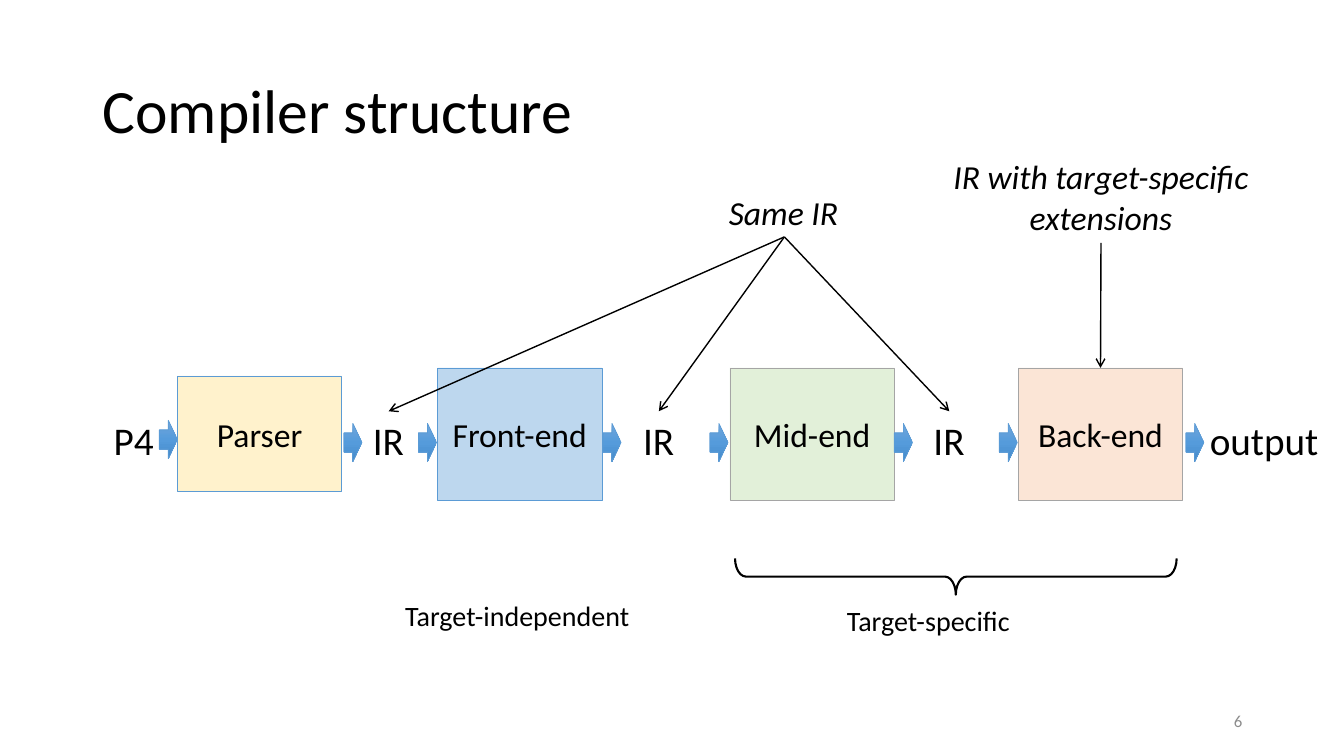
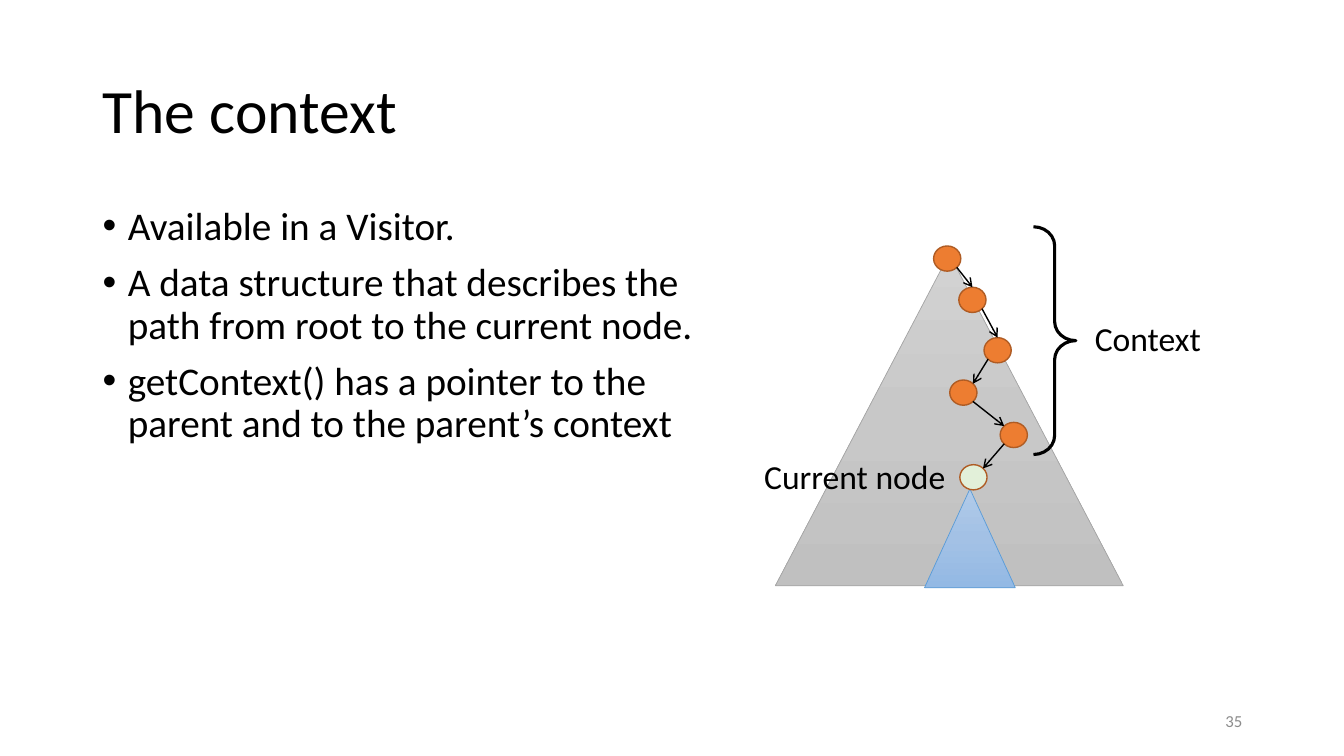
"""Build two slides on compiler structure and visitor context."""
import itertools
from typing import NamedTuple

import lxml.etree
import pptx
import pptx.dml.color
import pptx.enum.dml
import pptx.enum.shapes
import pptx.enum.text
import pptx.oxml.ns
import pptx.slide
import pptx.shapes.autoshape
import pptx.util

Inches = pptx.util.Inches
SHAPE = pptx.enum.shapes.MSO_SHAPE
ALIGN = pptx.enum.text.PP_ALIGN
ANCHOR = pptx.enum.text.MSO_ANCHOR
qn = pptx.oxml.ns.qn

FONT = "Calibri"
BLACK, GREY, PAGE_GREY = "000000", "A5A5A5", "8C8C8C"
BLUE, GREEN, ORANGE, BROWN = "5B9BD5", "E2F0D9", "ED7D31", "AF5C24"
ARROW_BLUES = ("71A6DB", "559BDB", "448ACA")
TREE_GREYS = ("D2D2D2", "C8C8C8", "C0C0C0")
SUBTREE_BLUES = ("B1CBE9", "A3C1E5", "93B9E4")


class Box(NamedTuple):
    left: float
    top: float
    width: float
    height: float

    def at(self, fx: float, fy: float) -> tuple[float, float]:
        return self.left + fx * self.width, self.top + fy * self.height


class Stage(NamedTuple):
    name: str
    box: Box
    fill: str
    line: str


class Label(NamedTuple):
    text: str
    box: Box
    size: int
    italic: bool = False


class Step(NamedTuple):
    left: float
    top: float
    exit: tuple[float, float]
    entry: tuple[float, float]


TOP = (0.5, 0)
TOP_LEFT, TOP_RIGHT = (0.15, 0.15), (0.85, 0.15)
BOTTOM_LEFT, BOTTOM_RIGHT = (0.15, 0.85), (0.85, 0.85)

STAGES = [
    Stage("Parser", Box(1.76, 3.73, 1.63, 1.15), "FFF2CC", BLUE),
    Stage("Front-end", Box(4.34, 3.65, 1.63, 1.31), "BDD7EE", BLUE),
    Stage("Mid-end", Box(7.24, 3.65, 1.63, 1.31), GREEN, GREY),
    Stage("Back-end", Box(10.1, 3.65, 1.63, 1.31), "FBE5D6", GREY),
]
IR_BOXES = [Box(left, 4.08, 0.51, 0.57) for left in (3.6, 6.28, 9.16)]
FLOW_ARROWS = [(1.58, 4.17)] + [
    (left, 4.2) for left in (3.41, 4.15, 5.98, 7.04, 8.87, 9.91, 11.76)]
SAME_IR = Box(7.13, 1.85, 1.3, 0.5)
EXTENDED_IR = Box(9.34, 1.5, 3.16, 0.91)
COMPILER_LABELS = [
    Label("P4", Box(1.03, 4.08, 0.6, 0.57), 28),
    Label("output", Box(11.9, 4.08, 1.29, 0.57), 28),
    Label("Target-specific", Box(8.3, 5.94, 1.85, 0.44), 20),
    Label("Target-independent", Box(3.92, 5.89, 2.46, 0.44), 20),
    Label("Same IR", SAME_IR, 24, True),
    Label("IR with target-specific\nextensions", EXTENDED_IR, 24, True),
    *(Label("IR", box, 28) for box in IR_BOXES),
]

CONTEXT_BULLETS = """Available in a Visitor.
A data structure that describes the path from root to the current node.
getContext() has a pointer to the parent and to the parent’s context"""
TREE_PATH = [
    Step(9.26, 2.44, BOTTOM_RIGHT, TOP),
    Step(9.51, 2.85, BOTTOM_RIGHT, TOP),
    Step(9.76, 3.35, BOTTOM_LEFT, TOP),
    Step(9.42, 3.77, BOTTOM_RIGHT, TOP_RIGHT),
    Step(9.92, 4.19, BOTTOM_LEFT, TOP_LEFT),
    Step(9.52, 4.61, BOTTOM_LEFT, TOP_RIGHT),
]
CONTEXT_LABELS = [
    Label("Current node", Box(7.48, 4.47, 2.02, 0.5), 24),
    Label("Context", Box(10.76, 3.1, 1.26, 0.5), 24),
]


def rgb(color: str) -> pptx.dml.color.RGBColor:
    return pptx.dml.color.RGBColor.from_string(color)


def inches(*values: float) -> list[pptx.util.Length]:
    return [Inches(value) for value in values]


def write(sp: pptx.shapes.autoshape.Shape, text: str, *, size: float,
          color: str = BLACK, italic: bool = False, align: ALIGN = ALIGN.LEFT,
          anchor: ANCHOR = ANCHOR.TOP, wrap: bool = True, bullet: bool = False,
          spacing: float = 1.0, before: float = 0) -> None:
    tf = sp.text_frame
    tf.word_wrap = wrap
    tf.vertical_anchor = anchor
    tf.auto_size = (pptx.enum.text.MSO_AUTO_SIZE.NONE if wrap
                    else pptx.enum.text.MSO_AUTO_SIZE.SHAPE_TO_FIT_TEXT)
    for i, line in enumerate(text.split("\n")):
        p = tf.paragraphs[0] if i == 0 else tf.add_paragraph()
        p.alignment = align
        p.line_spacing = spacing
        p.space_before = pptx.util.Pt(before if i else 0)
        if bullet:
            pPr = p._p.get_or_add_pPr()
            pPr.set("marL", str(Inches(0.25)))
            pPr.set("indent", str(Inches(-0.25)))
            lxml.etree.SubElement(pPr, qn("a:buFont"), typeface="Arial")
            lxml.etree.SubElement(pPr, qn("a:buChar"), char="•")
        r = p.add_run()
        r.text = line
        r.font.name = FONT
        r.font.size = pptx.util.Pt(size)
        r.font.italic = italic
        r.font.color.rgb = rgb(color)


def add_text(s: pptx.slide.Slide, box: Box, text: str, **fmt) -> None:
    write(s.shapes.add_textbox(*inches(*box)), text, **fmt)


def add_label(s: pptx.slide.Slide, label: Label) -> None:
    align = ALIGN.CENTER if "\n" in label.text else ALIGN.LEFT
    add_text(s, label.box, label.text, size=label.size, italic=label.italic,
             align=align, wrap=False)


def add_shape(s: pptx.slide.Slide, kind: SHAPE, box: Box, line: str,
              weight: float = 0.5, fill: str | None = None,
              gradient: tuple[str, ...] = ()) -> pptx.shapes.autoshape.Shape:
    sp = s.shapes.add_shape(kind, *inches(*box))
    sp.shadow.inherit = False
    sp.line.color.rgb = rgb(line)
    sp.line.width = pptx.util.Pt(weight)
    if gradient:
        sp.fill.gradient()
        sp.fill.gradient_angle = 270
        stops = sp._element.spPr.find(".//" + qn("a:gsLst"))
        stops.clear()
        for i, color in enumerate(gradient):
            position = 100000 * i // (len(gradient) - 1)
            stop = lxml.etree.SubElement(stops, qn("a:gs"), pos=str(position))
            lxml.etree.SubElement(stop, qn("a:srgbClr"), val=color)
    elif fill:
        sp.fill.solid()
        sp.fill.fore_color.rgb = rgb(fill)
    else:
        sp.fill.background()
    return sp


def add_arrow(s: pptx.slide.Slide, start: tuple[float, float],
              end: tuple[float, float]) -> None:
    cxn = s.shapes.add_connector(pptx.enum.shapes.MSO_CONNECTOR.STRAIGHT,
                                 *inches(*start, *end))
    cxn.line.color.rgb = rgb(BLACK)
    cxn.line.width = pptx.util.Pt(1)
    lxml.etree.SubElement(cxn.line._get_or_add_ln(), qn("a:tailEnd"), type="arrow")
    lxml.etree.SubElement(cxn._element.spPr, qn("a:effectLst"))


def add_slide(prs: pptx.presentation.Presentation, title: str,
              number: int) -> pptx.slide.Slide:
    s = prs.slides.add_slide(prs.slide_layouts[6])
    add_text(s, Box(0.92, 0.4, 11.5, 1.45), title, size=44,
             anchor=ANCHOR.MIDDLE, spacing=0.9)
    add_text(s, Box(9.42, 6.95, 3, 0.4), str(number), size=12,
             color=PAGE_GREY, align=ALIGN.RIGHT, anchor=ANCHOR.MIDDLE)
    return s


def build_compiler(prs: pptx.presentation.Presentation) -> None:
    s = add_slide(prs, "Compiler structure", 6)
    for stage in STAGES:
        sp = add_shape(s, SHAPE.RECTANGLE, stage.box, stage.line, fill=stage.fill)
        write(sp, stage.name, size=24, align=ALIGN.CENTER, anchor=ANCHOR.MIDDLE)
    for left, top in FLOW_ARROWS:
        add_shape(s, SHAPE.RIGHT_ARROW, Box(left, top, 0.18, 0.38), BLUE,
                  gradient=ARROW_BLUES)
    brace = add_shape(s, SHAPE.LEFT_BRACE, Box(9.3, 3.53, 0.36, 4.38), BLACK, 1.5)
    brace.adjustments[0] = 0.3
    brace.rotation = 270
    for label in COMPILER_LABELS:
        add_label(s, label)
    for box in IR_BOXES:
        add_arrow(s, SAME_IR.at(0.5, 1), box.at(*TOP))
    add_arrow(s, EXTENDED_IR.at(0.5, 1), STAGES[-1].box.at(*TOP))


def build_context(prs: pptx.presentation.Presentation) -> None:
    s = add_slide(prs, "The context", 35)
    add_text(s, Box(0.92, 2, 6.27, 4.76), CONTEXT_BULLETS, size=28,
             bullet=True, spacing=0.9, before=10)
    add_shape(s, SHAPE.ISOSCELES_TRIANGLE, Box(7.69, 2.52, 3.45, 3.29), GREY,
              gradient=TREE_GREYS)
    add_shape(s, SHAPE.ISOSCELES_TRIANGLE, Box(9.17, 4.85, 0.9, 0.98), BLUE,
              gradient=SUBTREE_BLUES)
    nodes = [Box(step.left, step.top, 0.27, 0.25) for step in TREE_PATH]
    for node in nodes:
        fill = GREEN if node is nodes[-1] else ORANGE
        add_shape(s, SHAPE.OVAL, node, BROWN, 1, fill=fill)
    for (step, node), (child_step, child) in itertools.pairwise(zip(TREE_PATH, nodes)):
        add_arrow(s, node.at(*step.exit), child.at(*child_step.entry))
    brace = add_shape(s, SHAPE.RIGHT_BRACE, Box(10.25, 2.25, 0.42, 2.26), BLACK, 2.25)
    brace.adjustments[0] = 0.45
    for label in CONTEXT_LABELS:
        add_label(s, label)


def main() -> None:
    prs = pptx.Presentation()
    prs.slide_width, prs.slide_height = inches(13.33, 7.5)
    build_compiler(prs)
    build_context(prs)
    prs.save("out.pptx")


if __name__ == "__main__":
    main()
